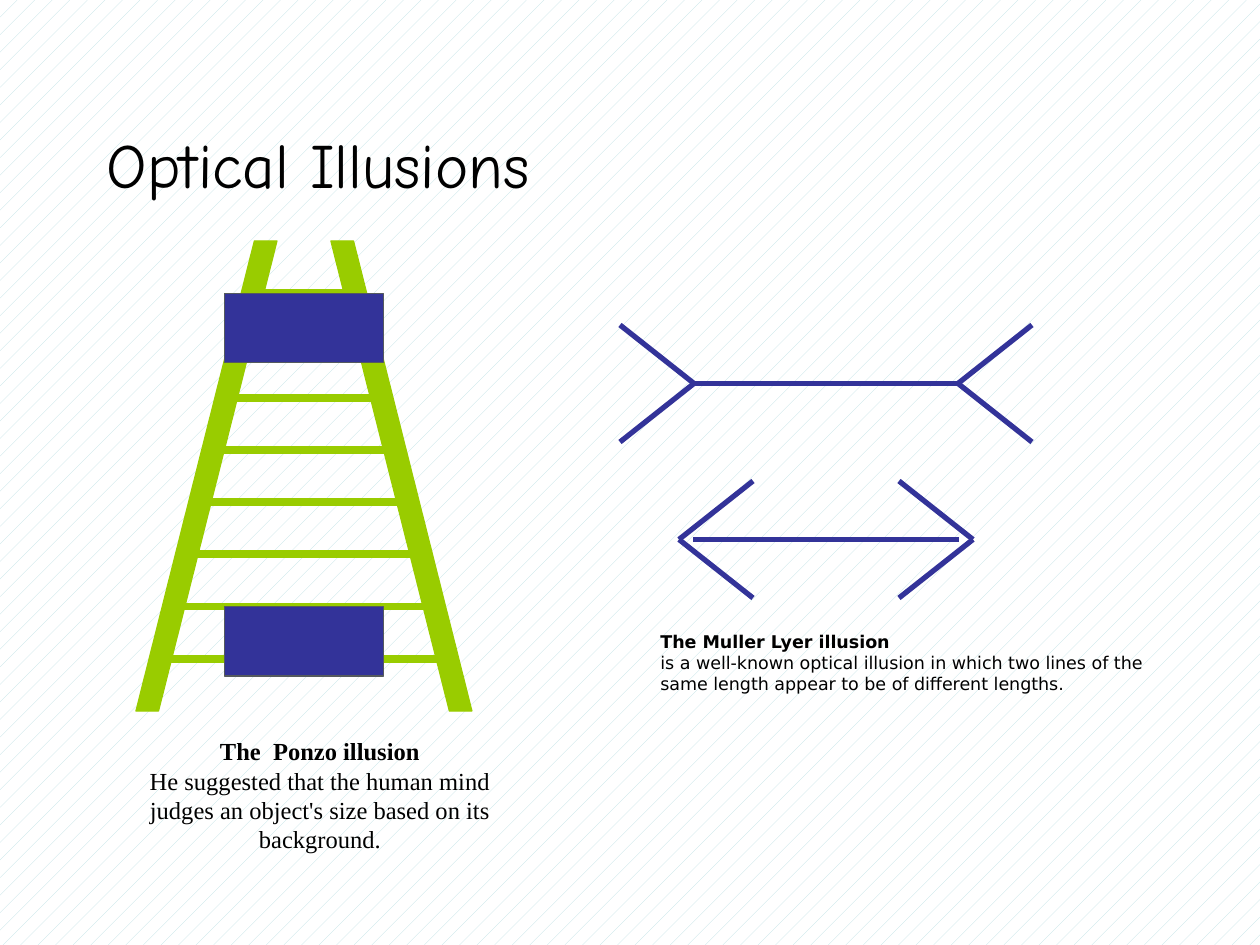
from lxml.etree import SubElement
from pptx import Presentation
from pptx.dml.color import RGBColor
from pptx.enum.dml import MSO_PATTERN_TYPE as Pattern
from pptx.enum.shapes import MSO_CONNECTOR as Link, MSO_SHAPE as Shape
from pptx.enum.text import MSO_ANCHOR as Anchor, MSO_AUTO_SIZE as Fit, PP_ALIGN as Align
from pptx.oxml.ns import qn
from pptx.util import Pt

PX = 914400 / 126
GREEN, BLUE, GREY, BLACK = "99CC00", "333399", "555A5E", "000000"


def emu(*sizes):
    return [round(size * PX) for size in sizes]


def color(code):
    return RGBColor.from_string(code)


def style(font, **values):
    font.color.rgb = color(BLACK)
    for name, value in values.items():
        setattr(font, name, value)


def block(group, kind, box, fill, edge):
    shape = group.shapes.add_shape(kind, *emu(*box))
    shape.shadow.inherit = False
    shape.fill.solid()
    shape.fill.fore_color.rgb = color(fill)
    shape.line.color.rgb = color(edge)
    shape.line.width = Pt(0.75)
    return shape


def stroke(group, start, end, code, width):
    line = group.shapes.add_connector(Link.STRAIGHT, *emu(*start, *end))
    line.line.color.rgb = color(code)
    line.line.width = Pt(width)
    SubElement(line.element.spPr, qn("a:effectLst"))


def ladder(slide, box):
    """Draw the Ponzo figure on a grid of 19 columns and 9 rows."""
    x, y, w, h = box
    col, row = w / 19, h / 9
    group = slide.shapes.add_group_shape()
    rail = 141
    for left, flip in ((x, False), (x + w - rail, True)):
        side = block(group, Shape.PARALLELOGRAM, (left, y, rail, h), GREEN, GREEN)
        side.adjustments[0] = 0.84
        if flip:
            side.element.spPr.xfrm.set("flipH", "1")
    rungs = {8: (1, 17), 7: (2, 17), 6: (3, 16), 5: (4, 15),
             4: (5, 14), 3: (5, 14), 1: (7, 12)}
    for step, (a, b) in rungs.items():
        level = y + step * row
        stroke(group, (x + a * col, level), (x + b * col, level), GREEN, 4.5)
    for step in (7, 1):
        bar = (x + 5 * col, y + step * row, 9 * col, row * 4 / 3)
        block(group, Shape.RECTANGLE, bar, BLUE, GREY)


def arrow(group, box, shaft, inward):
    """Draw a shaft with a fin pair at each end, tips turned in or out."""
    x, y, w, h = box
    fin = 74
    mid = y + h / 2
    for edge, inner in ((x, x + fin), (x + w, x + w - fin)):
        joint, tip = (edge, inner) if inward else (inner, edge)
        for end in (y, y + h):
            stroke(group, (joint, mid), (tip, end), BLUE, 3)
    stroke(group, (shaft[0], mid), (shaft[1], mid), BLUE, 3)


def arrows(slide, box):
    x, y, w, h = box
    group = slide.shapes.add_group_shape()
    fins = 117
    shaft = (x + 73, x + w - 73)
    arrow(group, (x, y, w, fins), shaft, False)
    arrow(group, (x + 59, y + h - fins, w - 118, fins), shaft, True)


def caption(slide, box, head, body, align, **face):
    frame = slide.shapes.add_textbox(*emu(*box)).text_frame
    frame.word_wrap = True
    frame.auto_size = Fit.SHAPE_TO_FIT_TEXT
    frame.text = f"{head}\n{body}"
    for para, bold in zip(frame.paragraphs, (True, False)):
        para.alignment = align
        style(para.runs[0].font, bold=bold, **face)


def heading(slide, box, text):
    title = slide.shapes.title
    title.left, title.top, title.width, title.height = emu(*box)
    frame = title.text_frame
    frame.text = text
    frame.auto_size = Fit.NONE
    frame.vertical_anchor = Anchor.MIDDLE
    para = frame.paragraphs[0]
    para.alignment = Align.LEFT
    style(para.runs[0].font, name="Comic Neue", size=Pt(36))


def main():
    deck = Presentation()
    deck.slide_width, deck.slide_height = emu(1260, 945)
    slide = deck.slides.add_slide(deck.slide_layouts[5])
    fill = slide.background.fill
    fill.patterned()
    fill.pattern = Pattern.PERCENT_5
    fill.fore_color.rgb = color("BBE0E3")
    fill.back_color.rgb = color("FFFFFF")

    heading(slide, (94, 84, 945, 158), "Optical Illusions")
    ladder(slide, (136, 241, 336, 470))
    arrows(slide, (620, 325, 412, 273))
    caption(slide, (126, 730, 388, 131), "The  Ponzo illusion",
            "He suggested that the human mind judges an object's size "
            "based on its background.",
            Align.CENTER, name="Times New Roman", size=Pt(14))
    caption(slide, (648, 625, 508, 77), "The Muller Lyer illusion",
            "is a well-known optical illusion in which two lines of the "
            "same length appear to be of different lengths.",
            Align.LEFT, name="DejaVu Sans", size=Pt(10))
    deck.save("out.pptx")


if __name__ == "__main__":
    main()
